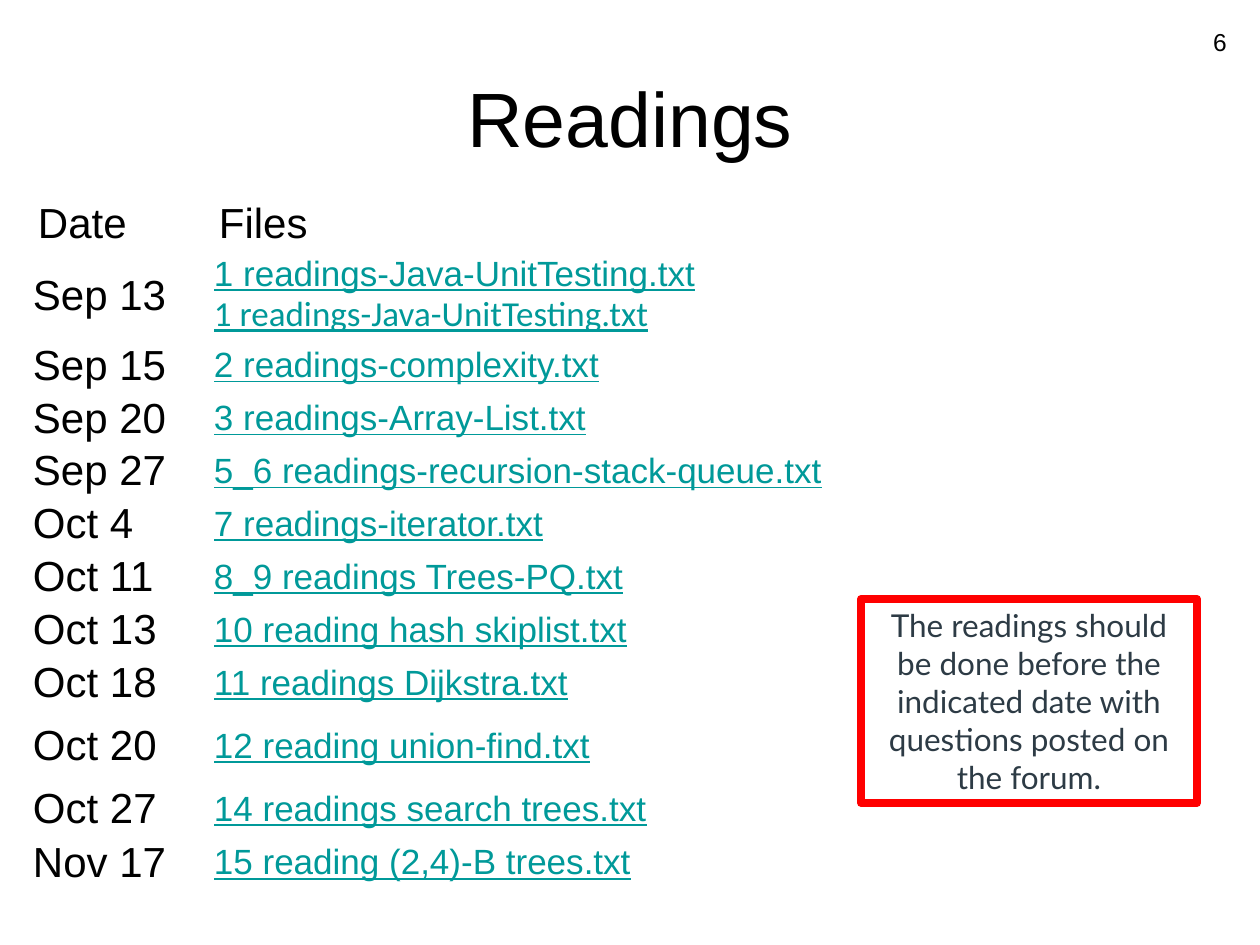
from pptx import Presentation
from pptx.dml.color import RGBColor
from pptx.enum.shapes import MSO_SHAPE as Shape
from pptx.enum.text import MSO_ANCHOR as Anchor, PP_ALIGN as Align
from pptx.util import Emu, Pt

SCALE = 914400 / 126
COLORS = {"text": "000000", "link": "009999", "note": "2D3B45", "border": "FF0000"}


def px(length):
    return Emu(round(length * SCALE))


class SlideBuilder:
    """Holds the style and the current slide."""

    def __init__(self, slide, font="Arial"):
        self.slide = slide
        self.font = font

    def color(self, name):
        return RGBColor.from_string(COLORS[name])

    def run(self, paragraph, text, size, color="text", font=None, underline=False):
        run = paragraph.add_run()
        run.text = text
        run.font.size = Pt(size)
        run.font.name = font or self.font
        run.font.color.rgb = self.color(color)
        if underline:
            run.font.underline = True

    def text(self, box, text, size, align, anchor=Anchor.TOP):
        frame = self.slide.shapes.add_textbox(*map(px, box)).text_frame
        frame.word_wrap = True
        frame.vertical_anchor = anchor
        frame.paragraphs[0].alignment = align
        self.run(frame.paragraphs[0], text, size)

    def framed_note(self, box, text, size, font):
        shape = self.slide.shapes.add_shape(Shape.RECTANGLE, *map(px, box))
        shape.shadow.inherit = False
        shape.fill.background()
        shape.line.color.rgb = self.color("border")
        shape.line.width = Pt(4.5)
        shape.text_frame.word_wrap = True
        paragraph = shape.text_frame.paragraphs[0]
        paragraph.alignment = Align.CENTER
        self.run(paragraph, text, size, "note", font)

    def table(self, left, top, widths, heights):
        box = (left, top, sum(widths), sum(heights))
        table = self.slide.shapes.add_table(len(heights), len(widths), *map(px, box)).table
        table.first_row = table.horz_banding = False
        for column, width in zip(table.columns, widths):
            column.width = px(width)
        for row, height in zip(table.rows, heights):
            row.height = px(height)
        return table

    def cell(self, cell, margins):
        cell.fill.background()
        cell.vertical_anchor = Anchor.MIDDLE
        cell.margin_left = cell.margin_right = px(margins[0])
        cell.margin_top = cell.margin_bottom = px(margins[1])
        return cell.text_frame.paragraphs[0]


# Slide
presentation = Presentation()
presentation.slide_width, presentation.slide_height = px(1260), px(945)
builder = SlideBuilder(presentation.slides.add_slide(presentation.slide_layouts[6]))

# Title and page number
builder.text((63, 38, 1134, 157), "Readings", 44, Align.CENTER, Anchor.MIDDLE)
builder.text((945, 21, 294, 66), "6", 14, Align.RIGHT)

# Readings by date: each file is a name and, where it differs, a font
READINGS = [
    ("Sep 13", [("1 readings-Java-UnitTesting.txt", None),
                ("1 readings-Java-UnitTesting.txt", "Calibri")]),
    ("Sep 15", [("2 readings-complexity.txt", None)]),
    ("Sep 20", [("3 readings-Array-List.txt", None)]),
    ("Sep 27", [("5_6 readings-recursion-stack-queue.txt", None)]),
    ("Oct 4", [("7 readings-iterator.txt", None)]),
    ("Oct 11", [("8_9 readings Trees-PQ.txt", None)]),
    ("Oct 13", [("10 reading hash skiplist.txt", None)]),
    ("Oct 18", [("11 readings Dijkstra.txt", None)]),
    ("Oct 20", [("12 reading union-find.txt", None)]),
    ("Oct 27", [("14 readings search trees.txt", None)]),
    ("Nov 17", [("15 reading (2,4)-B trees.txt", None)]),
]
ROW_HEIGHTS = [57, 87] + [53] * 7 + [73, 53, 54]
table = builder.table(32, 195, [181, 1027], ROW_HEIGHTS)

for column, heading in enumerate(["Date", "Files"]):
    builder.run(builder.cell(table.cell(0, column), (6, 3)), heading, 24)

for row, (date, files) in enumerate(READINGS, start=1):
    builder.run(builder.cell(table.cell(row, 0), (1, 1)), date, 24)
    paragraph = builder.cell(table.cell(row, 1), (1, 1))
    for index, (name, font) in enumerate(files):
        if index:
            paragraph.add_line_break()
        builder.run(paragraph, name, 20, "link", font, underline=True)

# Framed note
builder.framed_note(
    (861, 599, 336, 204),
    "The readings should be done before the indicated date with questions posted on the forum.",
    18, "Lato")

presentation.save("out.pptx")
